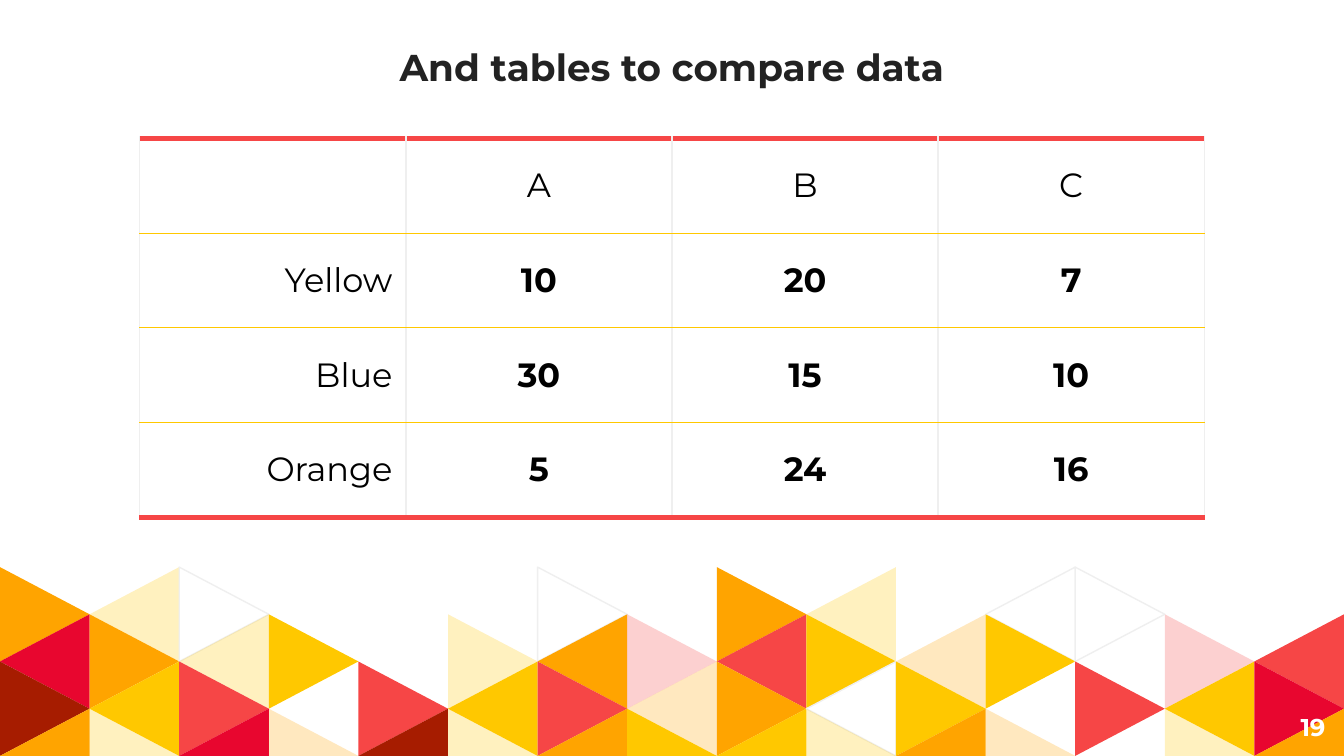
from lxml import etree
from pptx import Presentation
from pptx.dml.color import RGBColor
from pptx.enum.text import MSO_ANCHOR, PP_ALIGN
from pptx.oxml.ns import qn
from pptx.util import Inches, Pt

MIDDLE, BOTTOM = MSO_ANCHOR.MIDDLE, MSO_ANCHOR.BOTTOM
CENTER, RIGHT = PP_ALIGN.CENTER, PP_ALIGN.RIGHT

FONT = "Montserrat"
INK = RGBColor(0x22, 0x22, 0x22)
BLACK = RGBColor(0x00, 0x00, 0x00)
WHITE = RGBColor(0xFF, 0xFF, 0xFF)
GRAY = RGBColor(0xEF, 0xEF, 0xEF)
ORANGE = RGBColor(0xFF, 0xA4, 0x00)
YELLOW = RGBColor(0xFF, 0xC8, 0x00)
CORAL = RGBColor(0xF6, 0x46, 0x46)
RED = RGBColor(0xE8, 0x06, 0x2F)
BROWN = RGBColor(0xA6, 0x1C, 0x00)

# Content
TITLE = "And tables to compare data"
PAGE = "19"
ROWS = [
    ("", "A", "B", "C"),
    ("Yellow", "10", "20", "7"),
    ("Blue", "30", "15", "10"),
    ("Orange", "5", "24", "16"),
]

# Triangle mosaic: one string per column, top to bottom; lower case is
# 25% opaque, W is white with a gray outline, "." is empty
MOSAIC = [
    "ORBO", "yOYy", "WyCR", ".Y.o", "..CB", ".yYy", "WOCO", ".coY",
    "OCOY", "yYWy", ".oYO", "WY.o", "W.C.", ".cYy", ".CRO",
]
COLORS = {"O": ORANGE, "Y": YELLOW, "C": CORAL, "R": RED, "B": BROWN, "W": WHITE}

# Slide is 16:9; the mosaic fills its width and reaches its bottom edge
WIDTH = 10
HEIGHT = WIDTH * 9 / 16
MOSAIC_TOP, LEVELS = 4.22, 4
STEP_X = WIDTH / len(MOSAIC)
STEP_Y = (HEIGHT - MOSAIC_TOP) / LEVELS


def style(p, size, color, bold, align):
    p.alignment = align
    p.font.name, p.font.size = FONT, Pt(size)
    p.font.bold = bold
    p.font.color.rgb = color


def set_insets(tf, inset):
    tf.margin_left = tf.margin_right = inset
    tf.margin_top = tf.margin_bottom = inset


def add_triangle(shapes, col, level, code):
    # Directions alternate like a checkerboard; the last level is cut off
    edge, tip = (col, col + 1) if (col + level) % 2 == 0 else (col + 1, col)
    corners = [(edge, level), (tip, level + 1), (edge, min(level + 2, LEVELS))]
    points = [(Inches(x * STEP_X), Inches(MOSAIC_TOP + y * STEP_Y)) for x, y in corners]
    builder = shapes.build_freeform(*points[0])
    builder.add_line_segments(points[1:], close=True)
    sp = builder.convert_to_shape()
    sp.shadow.inherit = False
    sp.fill.solid()
    sp.fill.fore_color.rgb = COLORS[code.upper()]
    if code.islower():
        clr = sp.fill._xPr.find(".//" + qn("a:srgbClr"))
        etree.SubElement(clr, qn("a:alpha"), val="25000")
    if code == "W":
        sp.line.color.rgb = GRAY
        sp.line.width = Pt(0.75)
    else:
        sp.line.fill.background()


def add_border(cell, side, color, width):
    ln = etree.SubElement(cell._tc.get_or_add_tcPr(), qn("a:ln" + side), w=str(Pt(width)))
    fill = etree.SubElement(ln, qn("a:solidFill"))
    etree.SubElement(fill, qn("a:srgbClr"), val=str(color))


prs = Presentation()
prs.slide_width, prs.slide_height = Inches(WIDTH), Inches(HEIGHT)
s = prs.slides.add_slide(prs.slide_layouts[5])

# Mosaic
for col, codes in enumerate(MOSAIC):
    for level, code in enumerate(codes):
        if code != ".":
            add_triangle(s.shapes, col, level, code)

# Title
title = s.shapes.title
title.left, title.top, title.width, title.height = 0, 0, Inches(WIDTH), Inches(0.76)
tf = title.text_frame
tf.text = TITLE
tf.vertical_anchor = BOTTOM
set_insets(tf, Inches(0.1))
style(tf.paragraphs[0], 20, INK, True, CENTER)

# Table
table = s.shapes.add_table(len(ROWS), len(ROWS[0]), Inches(1.04), Inches(1.03),
                           Inches(7.92), Inches(2.82)).table
table.first_row = table.horz_banding = False
rule, frame = (YELLOW, 0.75), (CORAL, 3)
last = len(ROWS) - 1
for i, row in enumerate(ROWS):
    for j, text in enumerate(row):
        cell = table.cell(i, j)
        cell.text = text
        cell.vertical_anchor = MIDDLE
        cell.margin_left = cell.margin_right = Inches(0.1)
        cell.margin_top = cell.margin_bottom = Inches(0.07)
        style(cell.text_frame.paragraphs[0], 18, BLACK, i > 0 and j > 0,
              CENTER if j else RIGHT)
        add_border(cell, "L", GRAY, 0.75)
        add_border(cell, "R", GRAY, 0.75)
        add_border(cell, "T", *(frame if i == 0 else rule))
        add_border(cell, "B", *(frame if i == last else rule))
        cell.fill.background()

# Page number
box = s.shapes.add_textbox(Inches(9.36), Inches(5.19), Inches(0.6), Inches(0.43))
tf = box.text_frame
tf.word_wrap = True
tf.vertical_anchor = MIDDLE
set_insets(tf, Inches(0.1))
tf.text = PAGE
style(tf.paragraphs[0], 13, WHITE, True, RIGHT)

prs.save("out.pptx")
